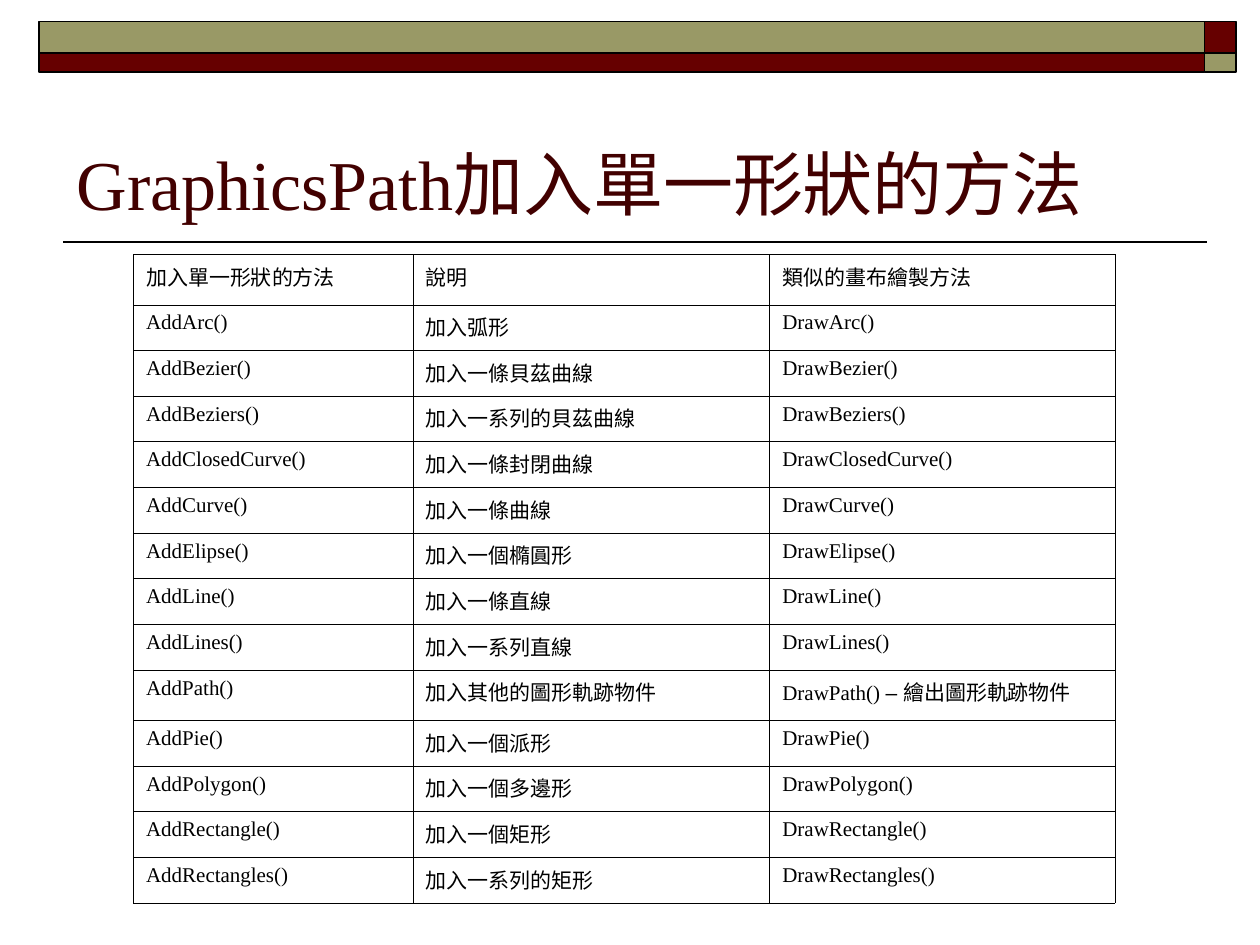
from lxml import etree
from pptx import Presentation
from pptx.dml.color import RGBColor
from pptx.enum.shapes import MSO_CONNECTOR, MSO_SHAPE
from pptx.enum.text import MSO_ANCHOR
from pptx.oxml.ns import qn
from pptx.util import Inches, Pt

RECTANGLE = MSO_SHAPE.RECTANGLE
STRAIGHT = MSO_CONNECTOR.STRAIGHT
BOTTOM = MSO_ANCHOR.BOTTOM
TOP = MSO_ANCHOR.TOP

COLORS = {
    "maroon": "660000",
    "olive": "999966",
    "title": "420000",
    "black": "000000",
}
SERIF = "Times New Roman"
SANS = "Arial"

HEADINGS = ("加入單一形狀的方法", "說明", "類似的畫布繪製方法")
# Each shape has an Add method and a Draw method of the same name
SHAPE_METHODS = [
    ("Arc", "加入弧形"),
    ("Bezier", "加入一條貝茲曲線"),
    ("Beziers", "加入一系列的貝茲曲線"),
    ("ClosedCurve", "加入一條封閉曲線"),
    ("Curve", "加入一條曲線"),
    ("Elipse", "加入一個橢圓形"),
    ("Line", "加入一條直線"),
    ("Lines", "加入一系列直線"),
    ("Path", "加入其他的圖形軌跡物件"),
    ("Pie", "加入一個派形"),
    ("Polygon", "加入一個多邊形"),
    ("Rectangle", "加入一個矩形"),
    ("Rectangles", "加入一系列的矩形"),
]
# Extra runs that follow a Draw method
DRAW_REMARKS = {"Path": [(" ", SERIF), ("– ", SANS), ("繪出圖形軌跡物件", SERIF)]}

COLUMN_WIDTHS = (2.22, 2.83, 2.74)
TABLE_HEIGHT = 5.15
TALL_ROW = 0.4
TALL_ROWS = (0, 9)


def color(name):
    return RGBColor.from_string(COLORS[name])


def add_run(para, text, size, color_name, font=SERIF):
    span = para.add_run()
    span.text = text
    span.font.name = font
    span.font.size = Pt(size)
    span.font.color.rgb = color(color_name)


def add_block(page, left, top, width, height, fill):
    block = page.shapes.add_shape(
        RECTANGLE, Inches(left), Inches(top), Inches(width), Inches(height))
    block.shadow.inherit = False
    block.fill.solid()
    block.fill.fore_color.rgb = color(fill)
    block.line.color.rgb = color("black")
    block.line.width = Pt(1)


def add_banner(page):
    left, split, bar, square = 0.31, 9.56, 9.25, 0.25
    for top, height, bar_fill, square_fill in (
            (0.17, 0.25, "olive", "maroon"), (0.42, 0.15, "maroon", "olive")):
        add_block(page, left, top, bar, height, bar_fill)
        add_block(page, split, top, square, height, square_fill)


def add_rule(page):
    rule = page.shapes.add_connector(
        STRAIGHT, Inches(0.5), Inches(1.92), Inches(9.58), Inches(1.92))
    rule.line.color.rgb = color("black")
    rule.line.width = Pt(1)
    etree.SubElement(rule._element.spPr, qn("a:effectLst"))


def add_title(page, text):
    box = page.shapes.add_textbox(
        Inches(0.51), Inches(0.23), Inches(9.27), Inches(1.6))
    frame = box.text_frame
    frame.word_wrap = True
    frame.vertical_anchor = BOTTOM
    add_run(frame.paragraphs[0], text, 40, "title")


def set_borders(cell):
    properties = cell._tc.get_or_add_tcPr()
    for position, side in enumerate(("lnL", "lnR", "lnT", "lnB")):
        border = etree.Element(qn(f"a:{side}"), w=str(Pt(0.45)))
        fill = etree.SubElement(border, qn("a:solidFill"))
        etree.SubElement(fill, qn("a:srgbClr"), val=COLORS["black"])
        properties.insert(position, border)


def fill_cell(cell, runs):
    cell.fill.background()
    cell.vertical_anchor = TOP
    set_borders(cell)
    for text, font in runs:
        add_run(cell.text_frame.paragraphs[0], text, 12, "black", font)


def method_rows():
    yield [[(heading, SERIF)] for heading in HEADINGS]
    for name, meaning in SHAPE_METHODS:
        draw = [(f"Draw{name}()", SERIF)] + DRAW_REMARKS.get(name, [])
        yield [[(f"Add{name}()", SERIF)], [(meaning, SERIF)], draw]


def add_method_table(page):
    rows = list(method_rows())
    table = page.shapes.add_table(
        len(rows), len(COLUMN_WIDTHS), Inches(1.06), Inches(2.02),
        Inches(sum(COLUMN_WIDTHS)), Inches(TABLE_HEIGHT)).table
    table.first_row = False
    table.horz_banding = False
    for column, width in zip(table.columns, COLUMN_WIDTHS):
        column.width = Inches(width)

    plain_row = ((TABLE_HEIGHT - TALL_ROW * len(TALL_ROWS))
                 / (len(rows) - len(TALL_ROWS)))
    for index, row in enumerate(rows):
        height = TALL_ROW if index in TALL_ROWS else plain_row
        table.rows[index].height = Inches(height)
        for cell, runs in zip(table.rows[index].cells, row):
            fill_cell(cell, runs)


def main():
    deck = Presentation()
    deck.slide_width = Inches(10)
    deck.slide_height = Inches(7.5)
    page = deck.slides.add_slide(deck.slide_layouts[6])

    # Heading area
    add_rule(page)
    add_banner(page)
    add_title(page, "GraphicsPath加入單一形狀的方法")

    # Method overview
    add_method_table(page)
    deck.save("out.pptx")


if __name__ == "__main__":
    main()
